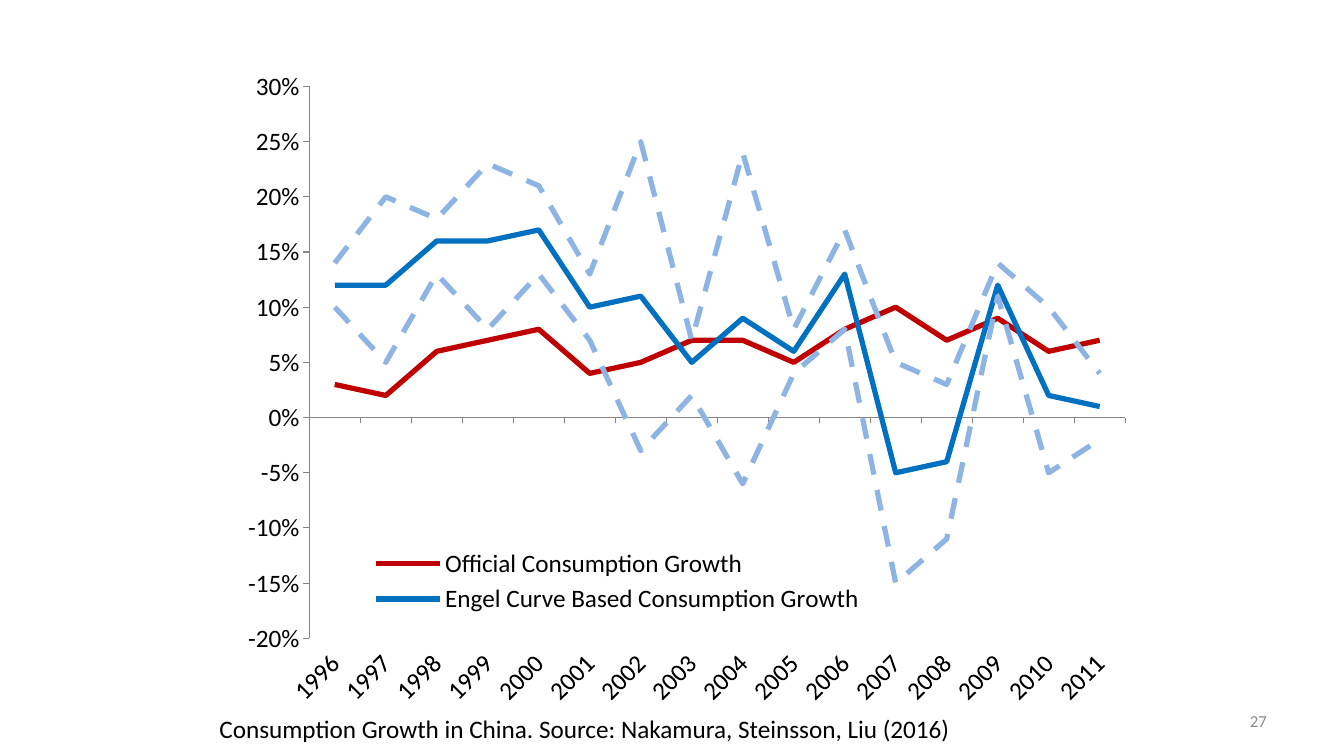
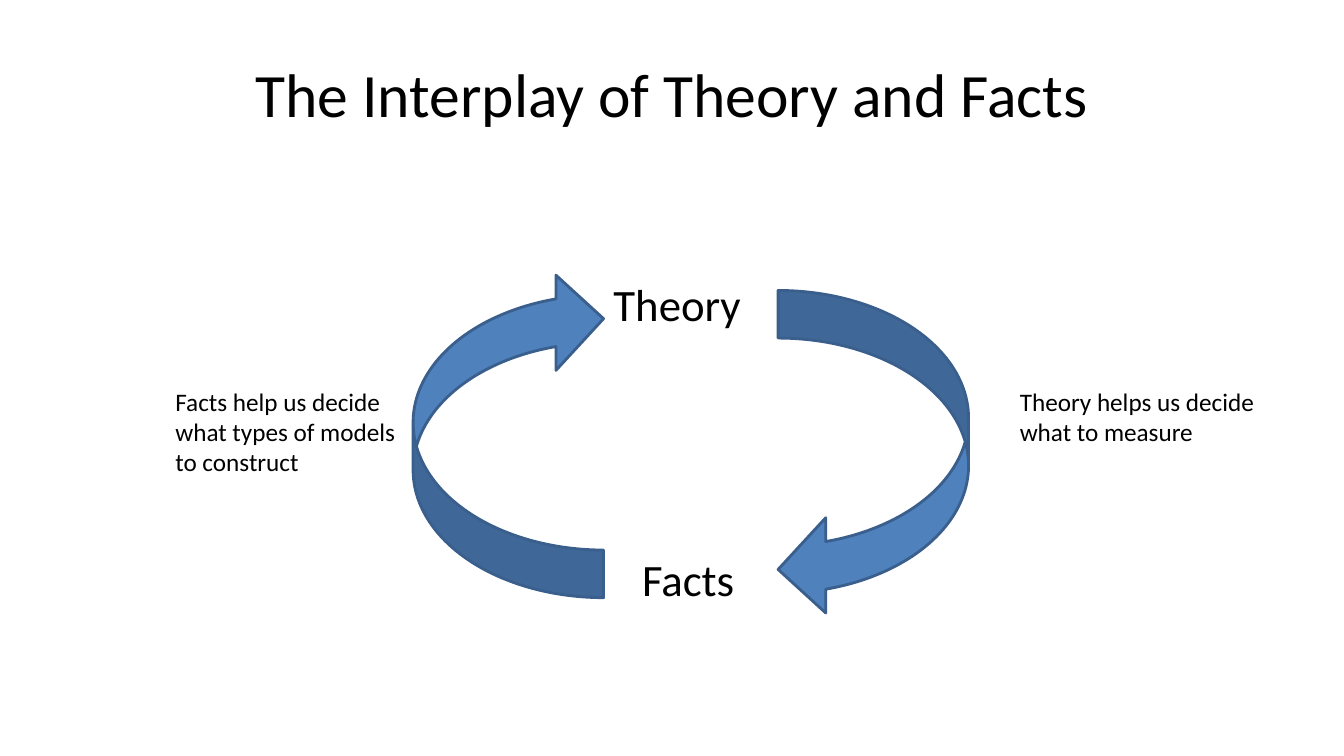
from dataclasses import dataclass

import pptx
import pptx.chart.data
import pptx.dml.color
import pptx.enum.chart
import pptx.enum.dml
import pptx.enum.shapes
import pptx.enum.text
import pptx.oxml
import pptx.oxml.ns
import pptx.util
from pptx.util import Cm

FONT = "Calibri"
COLORS = {
    "text": "000000",
    "page_number": "8C8C8C",
    "axis": "868686",
    "official": "C00000",
    "engel": "0070C0",
    "bound": "8EB4E3",
    "arrow": "4F81BD",
    "arrow_edge": "3A5F8C",
}
ALIGN = pptx.enum.text.PP_ALIGN
ANCHOR = pptx.enum.text.MSO_ANCHOR
BLANK_LAYOUT, TITLE_LAYOUT = 6, 5


@dataclass(frozen=True)
class Box:
    """Position and size in centimetres."""
    left: float
    top: float
    width: float
    height: float

    def lengths(self) -> tuple:
        return Cm(self.left), Cm(self.top), Cm(self.width), Cm(self.height)


@dataclass(frozen=True)
class GrowthLine:
    name: str
    color: str
    values: tuple
    dashed: bool = False


@dataclass(frozen=True)
class Label:
    text: str
    box: Box
    size: int
    wrap: bool = True


@dataclass(frozen=True)
class CycleArrow:
    box: Box
    rotation: int


YEARS = [str(year) for year in range(1996, 2012)]
GROWTH_LINES = (
    GrowthLine("Official Consumption Growth", "official",
               (0.03, 0.02, 0.06, 0.07, 0.08, 0.04, 0.05, 0.07,
                0.07, 0.05, 0.08, 0.1, 0.07, 0.09, 0.06, 0.07)),
    GrowthLine("Engel Curve Based Consumption Growth", "engel",
               (0.12, 0.12, 0.16, 0.16, 0.17, 0.1, 0.11, 0.05,
                0.09, 0.06, 0.13, -0.05, -0.04, 0.12, 0.02, 0.01)),
    GrowthLine("Series 3", "bound",
               (0.1, 0.05, 0.13, 0.08, 0.13, 0.07, -0.03, 0.02,
                -0.06, 0.04, 0.08, -0.15, -0.11, 0.11, -0.05, -0.02), True),
    GrowthLine("Series 4", "bound",
               (0.14, 0.2, 0.18, 0.23, 0.21, 0.13, 0.25, 0.07,
                0.24, 0.08, 0.17, 0.05, 0.03, 0.14, 0.1, 0.04), True),
)
CYCLE_ARROWS = (
    CycleArrow(Box(19.61, 7.32, 4.8, 8.23), 0),
    CycleArrow(Box(10.41, 6.83, 4.8, 8.23), 180),
)
CYCLE_LABELS = (
    Label("Theory", Box(15.21, 6.86, 4.37, 1.63), 32),
    Label("Facts", Box(15.93, 13.77, 3.66, 1.63), 32),
    Label("Theory helps us decide\nwhat to measure",
          Box(25.45, 9.6, 6.63, 1.8), 18, wrap=False),
    Label("Facts help us decide\nwhat types of models\nto construct",
          Box(4.17, 9.6, 6.27, 2.57), 18, wrap=False),
)


def rgb(name: str) -> pptx.dml.color.RGBColor:
    return pptx.dml.color.RGBColor.from_string(COLORS[name])


def write_text(shape, text: str, *, size: int, color: str = "text",
               align=ALIGN.LEFT, anchor=ANCHOR.TOP, wrap: bool = True) -> None:
    """Fill a shape with text, one paragraph per line."""
    frame = shape.text_frame
    frame.text = text
    frame.word_wrap = wrap
    frame.vertical_anchor = anchor
    for paragraph in frame.paragraphs:
        paragraph.alignment = align
        paragraph.font.name = FONT
        paragraph.font.size = pptx.util.Pt(size)
        paragraph.font.color.rgb = rgb(color)


def add_text(slide, box: Box, text: str, **text_format) -> None:
    write_text(slide.shapes.add_textbox(*box.lengths()), text, **text_format)


def manual_layout(x: float, y: float, width: float, height: float, inner: bool = False):
    """Build a chart layout whose values are fractions of the chart."""
    target = '<c:layoutTarget val="inner"/>' if inner else ""
    return pptx.oxml.parse_xml(
        f'<c:layout {pptx.oxml.ns.nsdecls("c")}><c:manualLayout>{target}'
        '<c:xMode val="edge"/><c:yMode val="edge"/>'
        f'<c:x val="{x}"/><c:y val="{y}"/><c:w val="{width}"/><c:h val="{height}"/>'
        '</c:manualLayout></c:layout>')


def style_axes(chart) -> None:
    ticks = pptx.enum.chart.XL_TICK_MARK
    for axis in (chart.category_axis, chart.value_axis):
        axis.has_major_gridlines = False
        axis.major_tick_mark = ticks.OUTSIDE
        axis.minor_tick_mark = ticks.NONE
        axis.format.line.color.rgb = rgb("axis")
        axis.format.line.width = pptx.util.Pt(0.75)
        axis.tick_labels.font.size = pptx.util.Pt(18)
    years, growth = chart.category_axis, chart.value_axis
    years.tick_label_position = pptx.enum.chart.XL_TICK_LABEL_POSITION.LOW
    body = years.tick_labels.font._element.getparent().getparent().getparent().find(
        pptx.oxml.ns.qn("a:bodyPr"))
    body.set("rot", "-2700000")
    body.set("vert", "horz")
    growth.minimum_scale, growth.maximum_scale = -0.2, 0.3
    growth.major_unit = 0.05
    growth.tick_labels.number_format = "0%"
    growth.tick_labels.number_format_is_linked = False


def style_legend(chart) -> None:
    """Place the legend inside the plot and leave the dashed bounds out of it."""
    chart.has_legend = True
    legend = chart.legend
    legend.position = pptx.enum.chart.XL_LEGEND_POSITION.RIGHT
    legend.include_in_layout = False
    legend.font.size = pptx.util.Pt(18)
    element = legend._element
    for old_layout in element.findall(pptx.oxml.ns.qn("c:layout")):
        element.remove(old_layout)
    position = element.find(pptx.oxml.ns.qn("c:legendPos"))
    position.addnext(manual_layout(0.16, 0.75, 0.56, 0.12))
    for index, line in reversed(list(enumerate(GROWTH_LINES))):
        if line.dashed:
            position.addnext(pptx.oxml.parse_xml(
                f'<c:legendEntry {pptx.oxml.ns.nsdecls("c")}>'
                f'<c:idx val="{index}"/><c:delete val="1"/></c:legendEntry>'))


def add_growth_chart(slide, box: Box) -> None:
    data = pptx.chart.data.CategoryChartData(number_format="0%")
    data.categories = YEARS
    for line in GROWTH_LINES:
        data.add_series(line.name, line.values)
    chart = slide.shapes.add_chart(
        pptx.enum.chart.XL_CHART_TYPE.LINE, *box.lengths(), data).chart
    chart.has_title = False
    chart.font.name = FONT
    chart.font.size = pptx.util.Pt(18)
    chart.font.color.rgb = rgb("text")
    chart.plots[0].vary_by_categories = False
    for series, line in zip(chart.plots[0].series, GROWTH_LINES):
        series.smooth = False
        series.marker.style = pptx.enum.chart.XL_MARKER_STYLE.NONE
        series.format.line.color.rgb = rgb(line.color)
        series.format.line.width = pptx.util.Pt(3.75)
        if line.dashed:
            series.format.line.dash_style = pptx.enum.dml.MSO_LINE.DASH
    style_axes(chart)
    style_legend(chart)
    plot_area = chart._chartSpace.chart.plotArea
    for old_layout in plot_area.findall(pptx.oxml.ns.qn("c:layout")):
        plot_area.remove(old_layout)
    plot_area.insert(0, manual_layout(0.1, 0.03, 0.9, 0.87, inner=True))


def add_cycle_arrow(slide, arrow: CycleArrow) -> None:
    shape = slide.shapes.add_shape(
        pptx.enum.shapes.MSO_SHAPE.CURVED_LEFT_ARROW, *arrow.box.lengths())
    shape.rotation = arrow.rotation
    shape.shadow.inherit = False
    shape.fill.solid()
    shape.fill.fore_color.rgb = rgb("arrow")
    shape.line.color.rgb = rgb("arrow_edge")
    shape.line.width = pptx.util.Pt(2)


def build_growth_slide(presentation) -> None:
    slide = presentation.slides.add_slide(presentation.slide_layouts[BLANK_LAYOUT])
    add_text(slide, Box(24.28, 17.65, 7.9, 1.02), "27", size=12,
             color="page_number", align=ALIGN.RIGHT, anchor=ANCHOR.MIDDLE)
    add_growth_chart(slide, Box(5.51, 1.7, 22.86, 16.08))
    add_text(slide, Box(5.28, 17.86, 19.15, 1.02),
             "Consumption Growth in China. Source: Nakamura, Steinsson, Liu (2016)",
             size=18, wrap=False)


def build_cycle_slide(presentation) -> None:
    slide = presentation.slides.add_slide(presentation.slide_layouts[TITLE_LAYOUT])
    title = slide.shapes.title
    title.left, title.top, title.width, title.height = Box(1.7, 0.76, 30.48, 3.18).lengths()
    write_text(title, "The Interplay of Theory and Facts", size=44,
               align=ALIGN.CENTER, anchor=ANCHOR.MIDDLE)
    for arrow in CYCLE_ARROWS:
        add_cycle_arrow(slide, arrow)
    for label in CYCLE_LABELS:
        add_text(slide, label.box, label.text, size=label.size, wrap=label.wrap)


def main() -> None:
    presentation = pptx.Presentation()
    presentation.slide_width, presentation.slide_height = Cm(33.87), Cm(19.05)
    build_growth_slide(presentation)
    build_cycle_slide(presentation)
    presentation.save("out.pptx")


if __name__ == "__main__":
    main()
